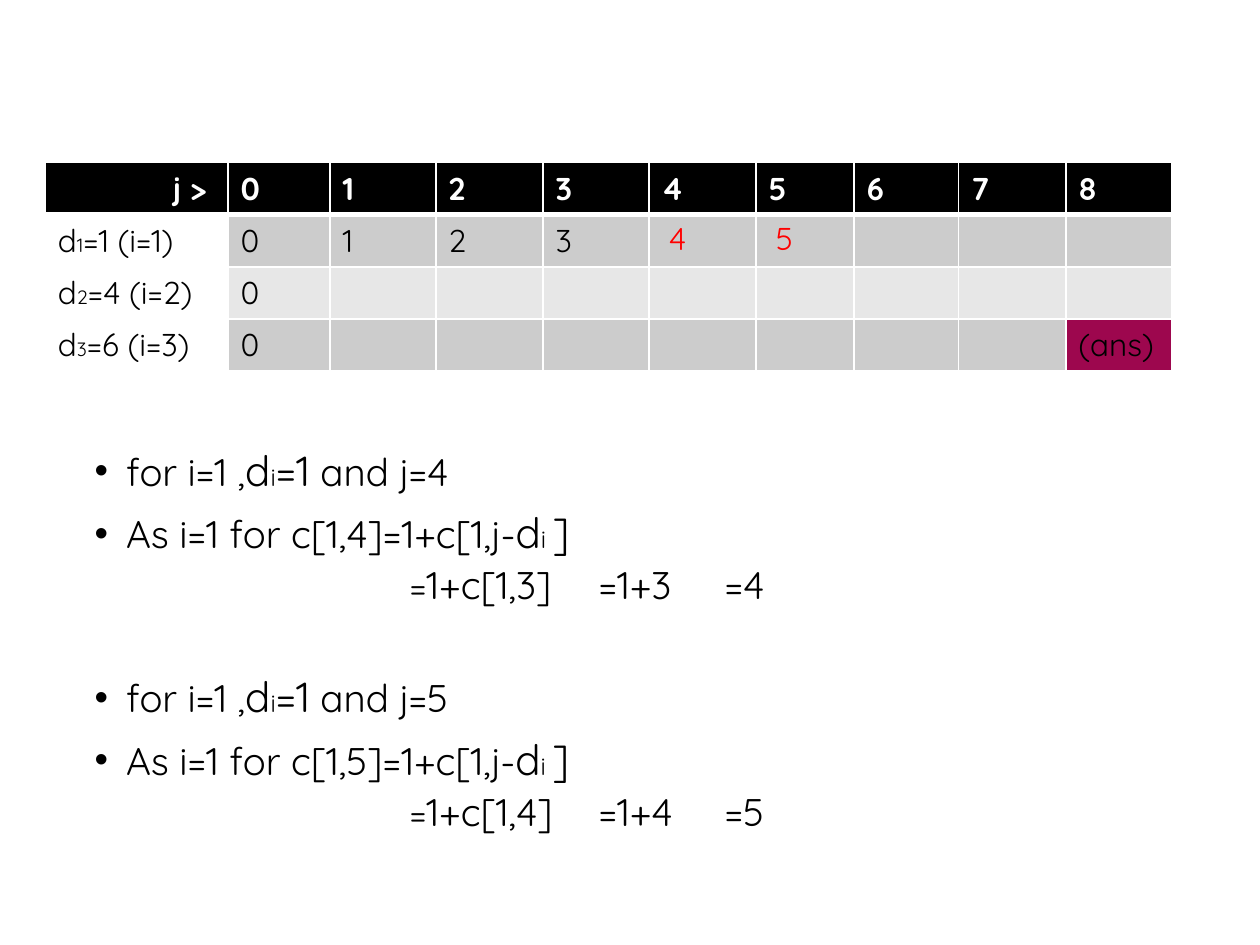
"""Builds a slide that fills in the first row of a coin-change table."""
from typing import NamedTuple

from lxml import etree
from pptx import Presentation
from pptx.dml.color import RGBColor
from pptx.enum import text as tx
from pptx.oxml import ns
from pptx.util import Inches, Pt

FONT = "Quicksand"
BLACK, WHITE, RED = "000000", "FFFFFF", "FF0000"
DARK, LIGHT, PLUM = "CCCCCC", "E7E7E7", "9D074E"


class Run(NamedTuple):
    text: str
    size: float = 18
    color: str = BLACK
    bold: bool = False


class Coin(NamedTuple):
    row: int
    value: int
    known: list[str]
    fill: str


class Step(NamedTuple):
    j: int
    gap: float


class Mark(NamedTuple):
    text: str
    left: float


COLS = [1.45, 0.81, 0.84, 0.85, 0.84, 0.85, 0.78, 0.83, 0.85, 0.84]
COINS = [
    Coin(1, 1, ["0", "1", "2", "3"], DARK),
    Coin(2, 4, ["0"], LIGHT),
    Coin(3, 6, ["0"], DARK),
]
STEPS = [Step(4, 10), Step(5, 39)]
MARKS = [Mark("4", 5.21), Mark("5", 6.06)]


def paint(code: str) -> RGBColor:
    """Turn a hex string into a colour."""
    return RGBColor.from_string(code)


def write(para, runs: list[Run]) -> None:
    """Add the runs to a paragraph."""
    for item in runs:
        run = para.add_run()
        run.text = item.text
        font = run.font
        font.name, font.size, font.bold = FONT, Pt(item.size), item.bold
        font.color.rgb = paint(item.color)


def edge(cell, side: str, width: float) -> None:
    """Draw one white border of a cell."""
    props = cell._tc.get_or_add_tcPr()
    line = etree.SubElement(props, ns.qn(f"a:ln{side}"), w=str(Pt(width)))
    fill = etree.SubElement(line, ns.qn("a:solidFill"))
    etree.SubElement(fill, ns.qn("a:srgbClr"), val=WHITE)


def fill_cell(cell, row: int, fill: str, runs: list[Run]) -> None:
    """Set the borders, fill and text of a cell."""
    widths = {"L": 1, "R": 1, "T": 3 if row == 1 else 1, "B": 3 if row == 0 else 1}
    for side, width in widths.items():
        edge(cell, side, width)
    cell.fill.solid()
    cell.fill.fore_color.rgb = paint(fill)
    write(cell.text_frame.paragraphs[0], runs)


def draw_table(slide) -> None:
    """Draw the table of coins against amounts."""
    frame = slide.shapes.add_table(
        len(COINS) + 1, len(COLS), Inches(0.36), Inches(1.29), Inches(8.95), Inches(1.62)
    )
    table = frame.table
    for col, width in zip(table.columns, COLS):
        col.width = Inches(width)
    for row in table.rows:
        row.height = Inches(0.41)
    heads = ["j >"] + [str(j) for j in range(len(COLS) - 1)]
    for col, head in enumerate(heads):
        fill_cell(table.cell(0, col), 0, BLACK, [Run(head, 18, WHITE, True)])
    corner = table.cell(0, 0)
    corner.margin_right = Inches(0.17)
    corner.text_frame.paragraphs[0].alignment = tx.PP_ALIGN.RIGHT
    last = len(COLS) - 1
    for coin in COINS:
        label = [Run("d"), Run(str(coin.row), 11), Run(f"={coin.value} (i={coin.row})")]
        fill_cell(table.cell(coin.row, 0), coin.row, WHITE, label)
        for col in range(1, len(COLS)):
            goal = coin is COINS[-1] and col == last
            words = ["(ans)"] if goal else coin.known[col - 1:col]
            fill = PLUM if goal else coin.fill
            fill_cell(table.cell(coin.row, col), coin.row, fill, [Run(w) for w in words])


def add_line(frame, runs: list[Run], gap: float, level: int = 0):
    """Add a spaced paragraph and return its properties."""
    para = frame.paragraphs[0]
    if para.runs:
        para = frame.add_paragraph()
    para.level = level
    para.line_spacing, para.space_before = 0.9, Pt(gap)
    write(para, runs)
    return para._p.get_or_add_pPr()


def add_point(frame, runs: list[Run], gap: float) -> None:
    """Add a bulleted paragraph."""
    props = add_line(frame, runs, gap)
    props.set("marL", str(Inches(0.25)))
    props.set("indent", str(Inches(-0.25)))
    etree.SubElement(props, ns.qn("a:buFont"), typeface="Arial")
    etree.SubElement(props, ns.qn("a:buChar"), char="•")


def add_sum(frame, runs: list[Run]) -> None:
    """Add an indented paragraph with tab stops."""
    props = add_line(frame, runs, 5, 5)
    props.set("marL", "0")
    props.set("indent", str(Inches(2.5)))
    etree.SubElement(props, ns.qn("a:buNone"))
    tabs = etree.SubElement(props, ns.qn("a:tabLst"))
    for stop in (4.13, 5.04):
        etree.SubElement(tabs, ns.qn("a:tab"), pos=str(Inches(stop)), algn="l")


def draw_steps(slide) -> None:
    """Fill the body with the worked steps."""
    body = slide.placeholders[1]
    body.left, body.top = Inches(0.65), Inches(3.04)
    body.width, body.height = Inches(8.7), Inches(3.82)
    frame = body.text_frame
    frame.auto_size = tx.MSO_AUTO_SIZE.NONE
    frame.vertical_anchor = tx.MSO_ANCHOR.TOP
    frame.margin_top = Inches(0.53)
    for j, gap in STEPS:
        add_point(frame, [
            Run("for i=1 ,", 22), Run("d", 24), Run("i", 14),
            Run("=1", 24), Run(f" and j={j}", 22),
        ], gap)
        add_point(frame, [
            Run(f"As i=1 for c[1,{j}]=1+c[1,j-", 22), Run("d", 24),
            Run("i ", 14), Run("]", 24),
        ], 10)
        add_sum(frame, [Run("=", 20), Run(f"1+c[1,{j - 1}]\t=1+{j - 1}\t={j}", 22)])


def draw_mark(slide, mark: Mark) -> None:
    """Write a new red value over the table."""
    box = slide.shapes.add_textbox(Inches(mark.left), Inches(1.69), Inches(0.28), Inches(0.4))
    frame = box.text_frame
    frame.word_wrap = True
    frame.auto_size = tx.MSO_AUTO_SIZE.SHAPE_TO_FIT_TEXT
    write(frame.paragraphs[0], [Run(mark.text, 18, RED)])


def main() -> None:
    """Build and save the slide."""
    deck = Presentation()
    deck.slide_width, deck.slide_height = Inches(10), Inches(7.5)
    slide = deck.slides.add_slide(deck.slide_layouts[1])
    title = slide.shapes.title.element
    title.getparent().remove(title)
    draw_steps(slide)
    draw_table(slide)
    for mark in MARKS:
        draw_mark(slide, mark)
    deck.save("out.pptx")


if __name__ == "__main__":
    main()
